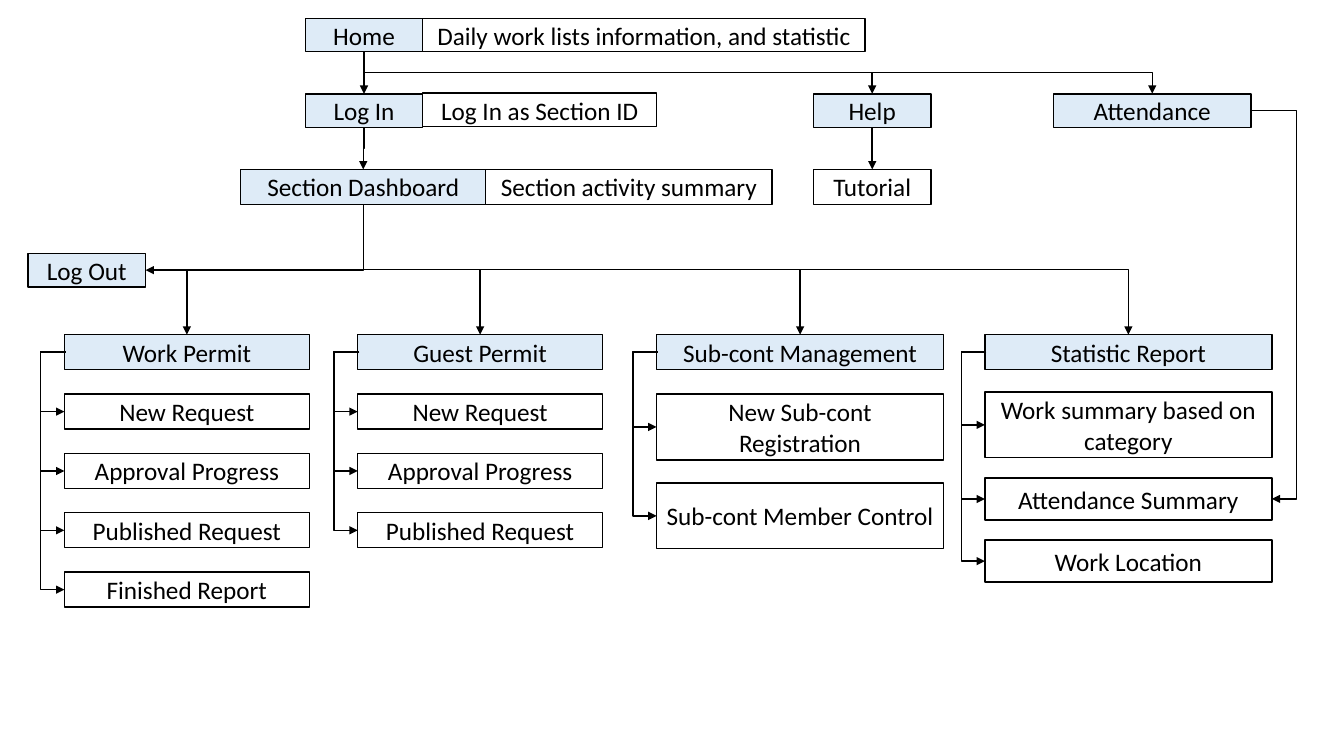
"""Draw the site map of a work permit system as boxes joined by arrows."""
import pptx
import pptx.dml.color
import pptx.enum.shapes
import pptx.enum.text
import pptx.oxml
import pptx.oxml.ns
import pptx.util

BLUE, WHITE, BLACK = "DEEBF7", "FFFFFF", "000000"

TOP_BOXES = {
    "Home": (218, 13, 84, 24, BLUE),
    "Daily work lists information, and statistic": (302, 13, 316, 24, WHITE),
    "Log In": (218, 67, 84, 24, BLUE),
    "Log In as Section ID": (302, 66.5, 167, 24, WHITE),
    "Help": (581, 67, 84, 24, BLUE),
    "Attendance": (752.5, 67, 141, 24, BLUE),
    "Section Dashboard": (172, 121, 175, 25, BLUE),
    "Section activity summary": (347, 121, 204.5, 25, WHITE),
    "Tutorial": (581, 121, 84, 25, WHITE),
    "Log Out": (20, 181, 84, 24, BLUE),
}
COLUMNS = [
    ("Work Permit", 46, 175, 281.5, 17.4,
     [("New Request", 25), ("Approval Progress", 25),
      ("Published Request", 25), ("Finished Report", 25)]),
    ("Guest Permit", 255.5, 175, 281.5, 17.4,
     [("New Request", 25), ("Approval Progress", 25), ("Published Request", 25)]),
    ("Sub-cont Management", 469, 205, 281.5, 16.5,
     [("New Sub-cont Registration", 47), ("Sub-cont Member Control", 47)]),
    ("Statistic Report", 703.5, 205, 280, 14.4,
     [("Work summary based on category", 47), ("Attendance Summary", 30),
      ("Work Location", 30)]),
]
DOWN_ARROWS = [
    ("Home", "Log In"), ("Home", "Help"), ("Home", "Attendance"),
    ("Log In", "Section Dashboard"), ("Help", "Tutorial"),
]
HEADING_TOP, HEADING_HEIGHT = 239, 25
SPINE_GAP, STUB, ATTENDANCE_LANE = 17, 1, 926

FRAME_FORMAT = {"word_wrap": True, "vertical_anchor": pptx.enum.text.MSO_ANCHOR.MIDDLE}
FONT_FORMAT = {"name": "Calibri", "size": pptx.util.Pt(18)}
CONNECTOR = pptx.enum.shapes.MSO_CONNECTOR

deck = pptx.Presentation()
deck.slide_width, deck.slide_height = pptx.util.Pt(960), pptx.util.Pt(540)
page = deck.slides.add_slide(deck.slide_layouts[6])


def apply(target, values):
    for name, value in values.items():
        setattr(target, name, value)


def paint(fill, colour):
    fill.solid()
    fill.fore_color.rgb = pptx.dml.color.RGBColor.from_string(colour)


def add_box(text, left, top, width, height, colour):
    box = page.shapes.add_shape(
        pptx.enum.shapes.MSO_SHAPE.RECTANGLE,
        *map(pptx.util.Pt, (left, top, width, height)))
    box.shadow.inherit = False
    paint(box.fill, colour)
    paint(box.line.fill, BLACK)
    box.line.width = pptx.util.Pt(1)
    apply(box.text_frame, FRAME_FORMAT)
    para = box.text_frame.paragraphs[0]
    para.alignment = pptx.enum.text.PP_ALIGN.CENTER
    span = para.add_run()
    span.text = text
    apply(span.font, FONT_FORMAT)
    paint(span.font.fill, BLACK)
    return left, top, width, height


def add_arrow(kind, start, end):
    arrow = page.shapes.add_connector(kind, *map(pptx.util.Pt, (*start, *end)))
    paint(arrow.line.fill, BLACK)
    arrow.line.width = pptx.util.Pt(1)
    namespace = pptx.oxml.ns.nsdecls("a")
    head = pptx.oxml.parse_xml(f'<a:tailEnd {namespace} type="triangle"/>')
    arrow.line._get_or_add_ln().append(head)
    properties = arrow.element.spPr
    properties.append(pptx.oxml.parse_xml(f"<a:effectLst {namespace}/>"))
    return properties


def add_side_arrow(start, end, lane):
    """Leave sideways, run down the lane and arrive sideways."""
    properties = add_arrow(CONNECTOR.ELBOW, start, end)
    bend = round((lane - start[0]) / (end[0] - start[0]) * 100000)
    guide = pptx.oxml.parse_xml(
        f'<a:gd {pptx.oxml.ns.nsdecls("a")} name="adj1" fmla="val {bend}"/>')
    properties.find(".//" + pptx.oxml.ns.qn("a:avLst")).append(guide)


def add_down_arrow(start, end, preset="bentConnector3"):
    """Leave downwards, as a quarter-turned elbow unless the ends line up."""
    across, down = end[0] - start[0], end[1] - start[1]
    if across == 0:
        add_arrow(CONNECTOR.STRAIGHT, start, end)
        return
    middle_x, middle_y = (start[0] + end[0]) / 2, (start[1] + end[1]) / 2
    reach = -down / 2 if across > 0 else down / 2
    properties = add_arrow(
        CONNECTOR.ELBOW,
        (middle_x - reach, middle_y - abs(across) / 2),
        (middle_x + reach, middle_y + abs(across) / 2))
    turn = 270 if across > 0 else 90
    properties.find(pptx.oxml.ns.qn("a:xfrm")).set("rot", str(turn * 60000))
    properties.find(pptx.oxml.ns.qn("a:prstGeom")).set("prst", preset)


def anchor(place, across, down):
    left, top, width, height = place
    return left + width * across, top + height * down


places = {text: add_box(text, *values) for text, values in TOP_BOXES.items()}
for source, target in DOWN_ARROWS:
    add_down_arrow(anchor(places[source], 0.5, 1), anchor(places[target], 0.5, 0))

dashboard = anchor(places["Section Dashboard"], 0.5, 1)
add_down_arrow(dashboard, anchor(places["Log Out"], 1, 0.5), "bentConnector2")

for title, left, width, top, gap, items in COLUMNS:
    heading = add_box(title, left, HEADING_TOP, width, HEADING_HEIGHT, BLUE)
    add_down_arrow(dashboard, anchor(heading, 0.5, 0))
    exit_x, exit_y = anchor(heading, 0, 0.5)
    for text, height in items:
        places[text] = add_box(text, left, top, width, height, WHITE)
        add_side_arrow((exit_x + STUB, exit_y), anchor(places[text], 0, 0.5),
                       left - SPINE_GAP)
        top += height + gap

add_side_arrow(anchor(places["Attendance"], 1, 0.5),
               anchor(places["Attendance Summary"], 1, 0.5), ATTENDANCE_LANE)

deck.save("out.pptx")
